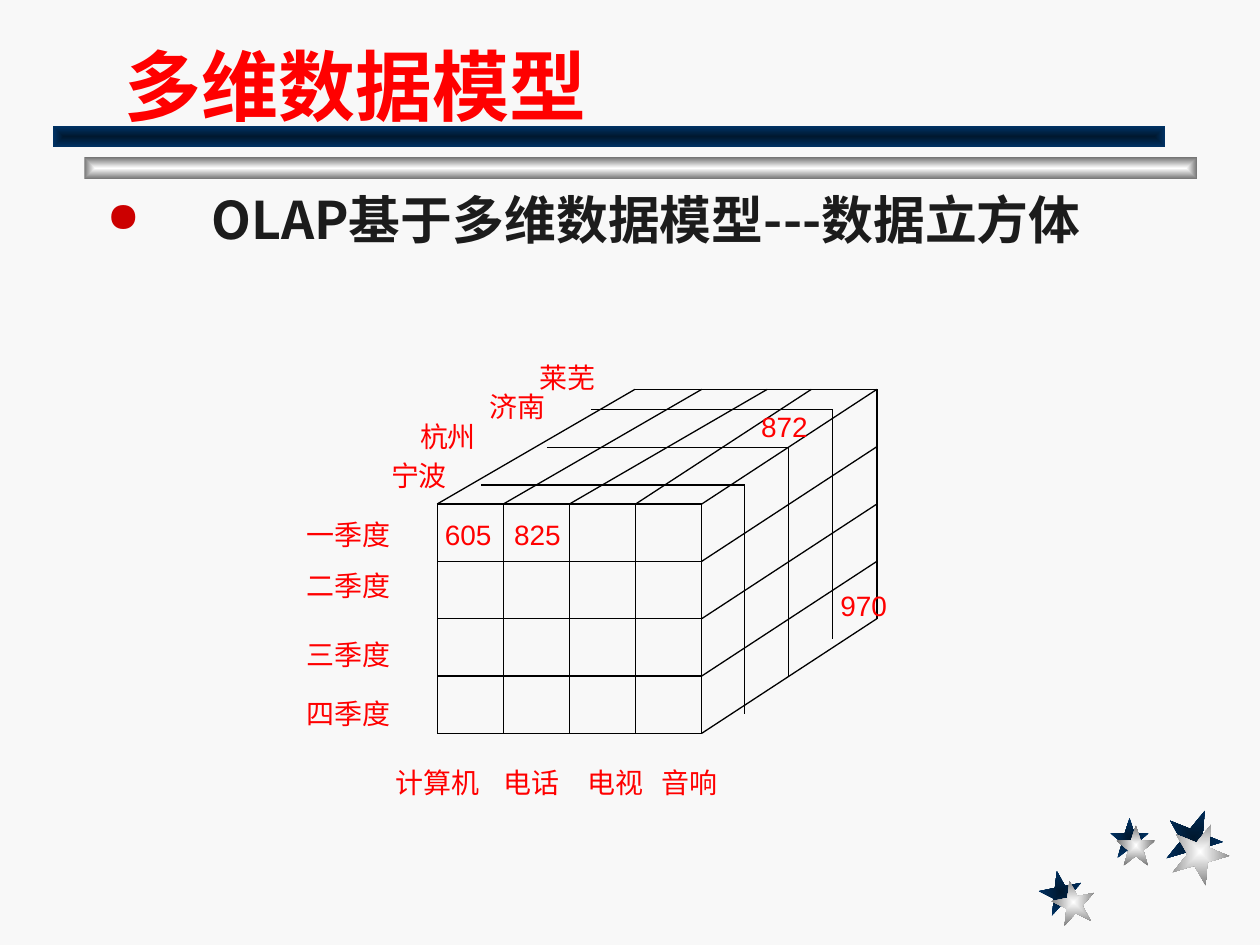
"""Build the multidimensional data model slide with its data cube."""
from pptx import Presentation
from pptx.dml.color import RGBColor
from pptx.enum.shapes import MSO_CONNECTOR as Connector, MSO_SHAPE as Shape
from pptx.enum.text import MSO_ANCHOR as Anchor, MSO_AUTO_SIZE as AutoSize, PP_ALIGN as Align
from pptx.oxml.ns import qn
from pptx.oxml.xmlchemy import OxmlElement
from pptx.util import Inches, Pt

TITLE = " 多维数据模型"
POINT = "OLAP基于多维数据模型---数据立方体"
RED, INK, BULLET, BACKDROP = "FF0000", "1C1C1C", "CC0000", "F8F8F8"
NAVY, SILVER = ("00182F", "003366"), ("FFFFFF", "767676")

STAR = [(0, 0.38), (0.38, 0.38), (0.5, 0), (0.62, 0.38), (1, 0.38),
        (0.69, 0.62), (0.81, 1), (0.5, 0.76), (0.19, 1), (0.31, 0.62)]
STARS = [
    (NAVY, 8.25, 6.91, 0.34, 0.34, -11),
    (NAVY, 8.81, 6.49, 0.31, 0.32, 0),
    (NAVY, 9.25, 6.42, 0.45, 0.46, 22),
    (SILVER, 8.35, 6.99, 0.34, 0.34, -11),
    (SILVER, 8.86, 6.55, 0.31, 0.32, 0),
    (SILVER, 9.3, 6.53, 0.45, 0.46, 22),
]
BARS = [(SILVER, 0.67, 1.25), (NAVY, 0.42, 1)]

CELLS = 4
FRONT_LEFT, FRONT_TOP, FRONT_WIDTH, HEIGHT = 3.47, 4, 2.1, 1.82
BACK_RIGHT, BACK_TOP = 6.96, 3.09
BACK_COLUMNS = [5.04, 5.57, 6.09, 6.44, BACK_RIGHT]
SLICES = [(3.82, 5.91, 3.85), (4.34, 6.26, 3.55), (4.69, 6.61, 3.25),
          (BACK_COLUMNS[0], BACK_RIGHT, BACK_TOP)]

LABELS = [
    ("一季度", 2.24, 4.06, 1.05), ("二季度", 2.24, 4.46, 1.05),
    ("三季度", 2.24, 5.01, 1.05), ("四季度", 2.24, 5.48, 1.05),
    ("宁波", 2.8, 3.59, 1.05), ("杭州", 3.03, 3.28, 1.05),
    ("济南", 3.58, 3.04, 1.05), ("莱芜", 3.98, 2.81, 1.05),
    ("计算机", 2.95, 6.03, 1.05), ("电话", 3.82, 6.03, 0.79),
    ("电视", 4.45, 6.03, 0.87), ("音响", 5.08, 6.03, 0.79),
    ("605", 3.43, 4.06, 0.57), ("825", 3.98, 4.06, 0.57),
    ("872", 5.94, 3.2, 0.57), ("970", 6.57, 4.62, 0.57),
]


def color(value):
    return RGBColor.from_string(value)


def add_element(parent, tag, **attributes):
    child = OxmlElement(tag)
    for name, value in attributes.items():
        child.set(name, value)
    parent.append(child)
    return child


def style_gradient(shape, colors):
    shape.shadow.inherit = False
    shape.line.fill.background()
    shape.fill.gradient()
    for stop, value, position in zip(shape.fill.gradient_stops, colors, (0, 1)):
        stop.color.rgb = color(value)
        stop.position = position
    gradient = shape._element.spPr.find(qn("a:gradFill"))
    gradient.remove(gradient.find(qn("a:lin")))
    center = add_element(gradient, "a:path", **{"path": "rect"})
    add_element(center, "a:fillToRect", l="50000", t="50000", r="50000", b="50000")


def add_star(page, colors, left, top, width, height, angle):
    points = [(Inches(left + x * width), Inches(top + y * height)) for x, y in STAR]
    builder = page.shapes.build_freeform(*points[0])
    builder.add_line_segments(points[1:], close=True)
    star = builder.convert_to_shape()
    style_gradient(star, colors)
    star.rotation = angle


def add_bar(page, colors, left, top):
    bar = page.shapes.add_shape(Shape.RECTANGLE, Inches(left), Inches(top), Inches(8.83), Inches(0.17))
    style_gradient(bar, colors)


def add_line(page, *ends):
    line = page.shapes.add_connector(Connector.STRAIGHT, *map(Inches, ends))
    line.line.color.rgb = color("000000")
    line.line.width = Pt(0.75)
    add_element(line._element.spPr, "a:effectLst")


def add_text(page, text, left, top, width, height, size, font, tint, bold=False, align=Align.CENTER):
    box = page.shapes.add_textbox(*map(Inches, (left, top, width, height)))
    box.text_frame.word_wrap = True
    box.text_frame.text = text
    para = box.text_frame.paragraphs[0]
    para.alignment = align
    span = para.runs[0]
    span.font.size, span.font.name, span.font.bold = Pt(size), font, bold
    span.font.color.rgb = color(tint)
    return box


def add_bullet(para):
    para.line_spacing = 0.9
    para.space_before = Pt(8)
    properties = para._p.get_or_add_pPr()
    properties.set("marL", str(Inches(0.83)))
    properties.set("indent", str(-Inches(0.83)))
    tint = add_element(properties, "a:buClr")
    add_element(tint, "a:srgbClr", val=BULLET)
    add_element(properties, "a:buSzPct", val="80000")
    add_element(properties, "a:buChar", char="●")


def add_cube(page):
    front_right = FRONT_LEFT + FRONT_WIDTH
    for step, back in enumerate(BACK_COLUMNS):
        x = FRONT_LEFT + step * FRONT_WIDTH / CELLS
        y = FRONT_TOP + step * HEIGHT / CELLS
        back_y = BACK_TOP + step * HEIGHT / CELLS
        add_line(page, x, FRONT_TOP, back, BACK_TOP)
        add_line(page, x, FRONT_TOP, x, FRONT_TOP + HEIGHT)
        add_line(page, FRONT_LEFT, y, front_right, y)
        if step:
            add_line(page, front_right, y, BACK_RIGHT, back_y)
    for left, right, y in SLICES:
        add_line(page, left, y, right, y)
        add_line(page, right, y, right, y + HEIGHT)


def main():
    deck = Presentation()
    deck.slide_width, deck.slide_height = Inches(10), Inches(7.5)
    page = deck.slides.add_slide(deck.slide_layouts[6])
    page.background.fill.solid()
    page.background.fill.fore_color.rgb = color(BACKDROP)
    for star in STARS:
        add_star(page, *star)
    for bar in BARS:
        add_bar(page, *bar)
    title = add_text(page, TITLE, 0.75, 0.17, 8.5, 0.92, 44, "Lato", RED, True, Align.LEFT)
    title.text_frame.vertical_anchor = Anchor.BOTTOM
    body = add_text(page, POINT, 0.75, 1.5, 8.5, 1.07, 29.6, "Noto Sans CJK SC", INK, True, Align.JUSTIFY)
    add_bullet(body.text_frame.paragraphs[0])
    add_cube(page)
    for text, left, top, width in LABELS:
        label = add_text(page, text, left, top, width, 0.37, 16, "Arial", RED)
        label.text_frame.auto_size = AutoSize.SHAPE_TO_FIT_TEXT
    deck.save("out.pptx")


if __name__ == "__main__":
    main()
